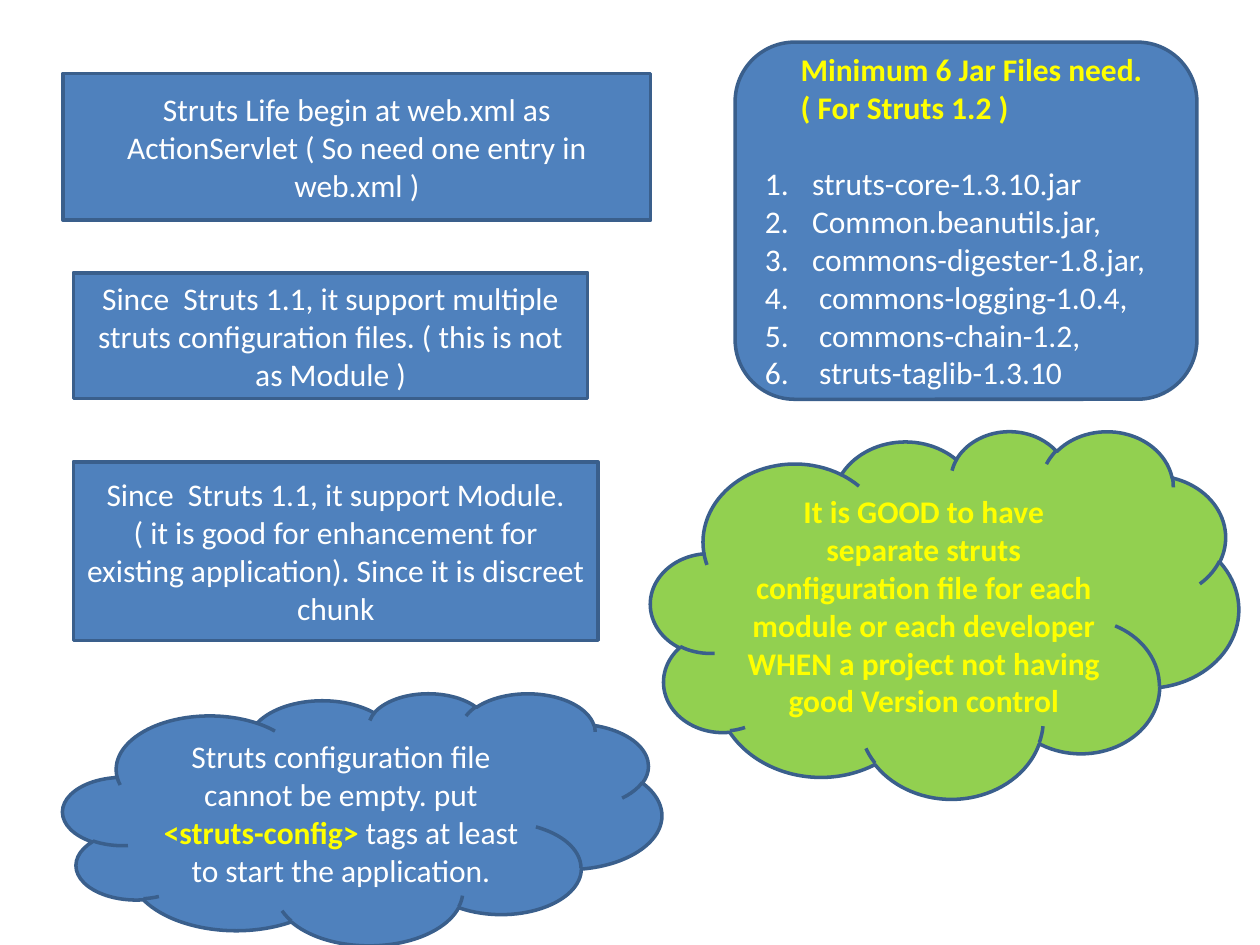
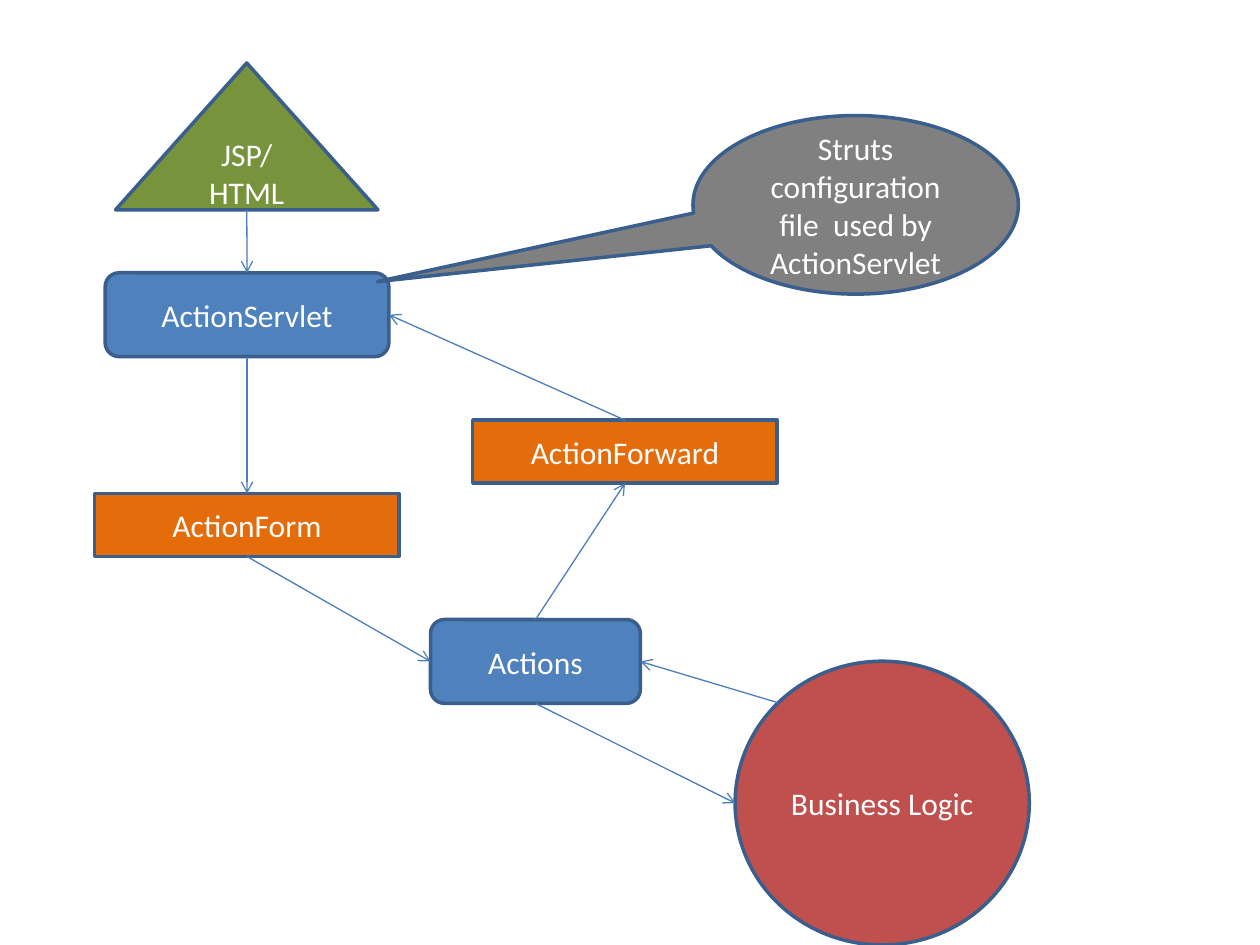
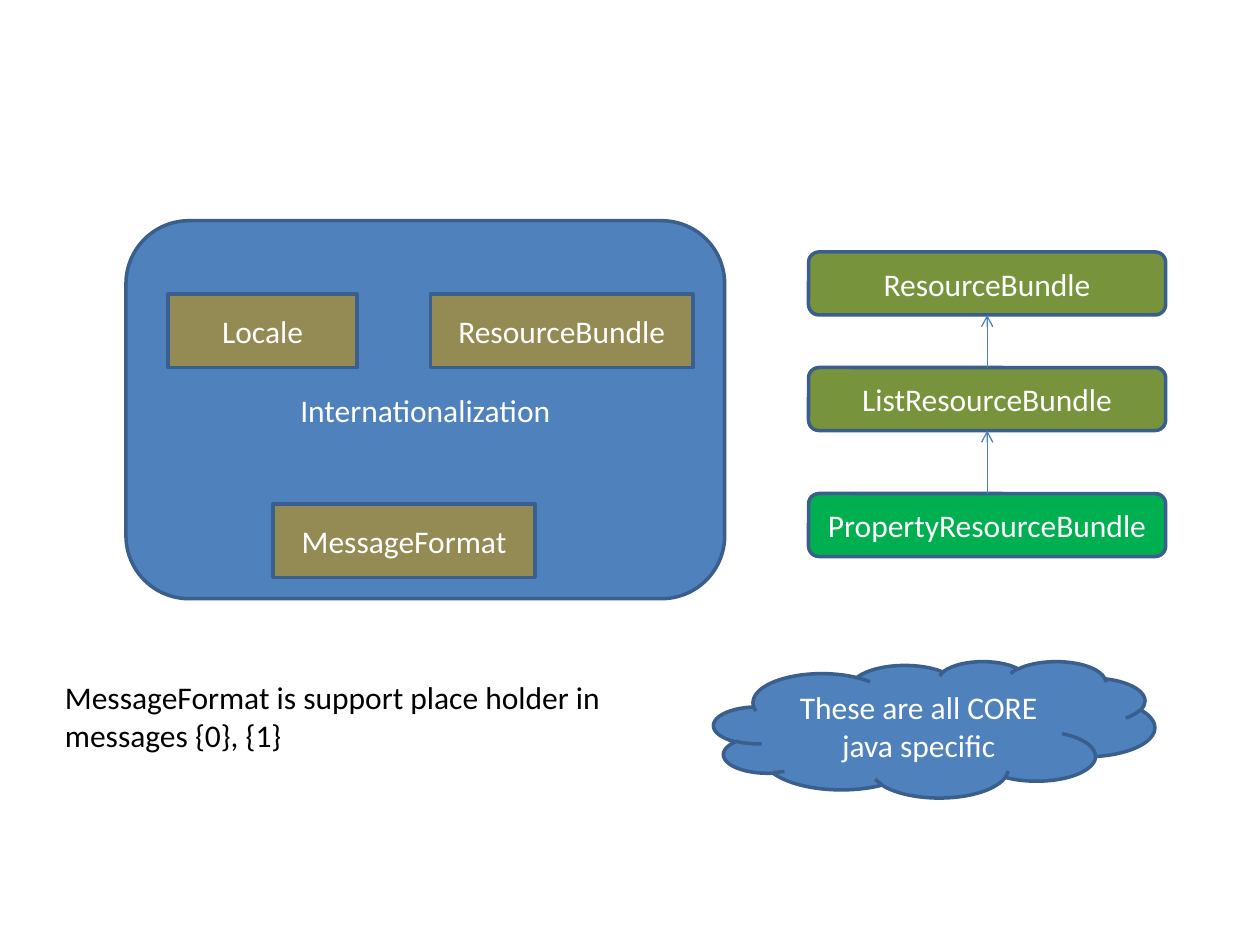
"""Build three slides on Struts setup, request flow and internationalization."""
from dataclasses import dataclass

from lxml import etree
from pptx import Presentation
from pptx import util as u
from pptx.dml.color import RGBColor
from pptx.enum import shapes, text
from pptx.oxml import ns

KIND = shapes.MSO_SHAPE
ALIGN = text.PP_ALIGN
DIAGONAL = (1 - 0.5 ** 0.5) / 2
SITES = {
    "top": (0.5, 0),
    "bottom": (0.5, 1),
    "left": (0, 0.5),
    "right": (1, 0.5),
    "upper left": (DIAGONAL, DIAGONAL),
}


@dataclass(frozen=True)
class Theme:
    font: str = "Calibri"
    size: float = 18
    outline_width: float = 2
    arrow_width: float = 0.75
    blue: str = "4F81BD"
    outline: str = "3A5F8C"
    arrow: str = "4B7EBC"
    lime: str = "92D050"
    olive: str = "77933C"
    green: str = "00B050"
    orange: str = "E46C0A"
    red: str = "C0504D"
    gray: str = "808080"
    tan: str = "948A54"
    white: str = "FFFFFF"
    yellow: str = "FFFF00"
    black: str = "000000"


THEME = Theme()


def write(para, content, color=THEME.white, bold=False, align=ALIGN.LEFT):
    para.alignment = align
    span = para.add_run()
    span.text = content
    font = span.font
    font.name, font.size, font.bold = THEME.font, u.Pt(THEME.size), bold
    font.color.rgb = RGBColor.from_string(color)


class Painter:
    def __init__(self, deck):
        self.deck = deck
        self.page = None

    def new_page(self):
        self.page = self.deck.slides.add_slide(self.deck.slide_layouts[6])

    def shape(self, kind, left, top, width, height, *spans, fill=THEME.blue):
        box = self.page.shapes.add_shape(
            kind, u.Cm(left), u.Cm(top), u.Cm(width), u.Cm(height))
        box.shadow.inherit = False
        box.fill.solid()
        box.fill.fore_color.rgb = RGBColor.from_string(fill)
        box.line.color.rgb = RGBColor.from_string(THEME.outline)
        box.line.width = u.Pt(THEME.outline_width)
        box.text_frame.word_wrap = True
        box.text_frame.vertical_anchor = text.MSO_ANCHOR.MIDDLE
        for span in spans:
            content, style = (span, {}) if isinstance(span, str) else span
            write(box.text_frame.paragraphs[0], content,
                  align=ALIGN.CENTER, **style)
        return box

    def numbered_list(self, box, headings, items):
        frame = box.text_frame
        for index, content in enumerate(headings + items):
            para = frame.add_paragraph() if index else frame.paragraphs[0]
            props = para._p.get_or_add_pPr()
            if index < len(headings):
                props.set("marL", str(u.Cm(0.72)))
                write(para, content, color=THEME.yellow, bold=True)
                continue
            props.set("marL", str(u.Cm(0.95)))
            props.set("indent", str(-u.Cm(0.95)))
            etree.SubElement(props, ns.qn("a:buFont"), typeface="+mj-lt")
            etree.SubElement(props, ns.qn("a:buAutoNum"), type="arabicPeriod")
            if index == len(headings):
                para.space_before = u.Pt(22)
            write(para, content)

    def arrow(self, source, source_site, target, target_site):
        ends = []
        for box, site in ((source, source_site), (target, target_site)):
            across, down = SITES[site]
            ends += [int(box.left + box.width * across),
                     int(box.top + box.height * down)]
        line = self.page.shapes.add_connector(
            shapes.MSO_CONNECTOR.STRAIGHT, *ends)
        line.line.color.rgb = RGBColor.from_string(THEME.arrow)
        line.line.width = u.Pt(THEME.arrow_width)
        etree.SubElement(line.line._get_or_add_ln(), ns.qn("a:tailEnd"),
                         type="arrow")
        etree.SubElement(line._element.spPr, ns.qn("a:effectLst"))

    def label(self, left, top, width, height, content):
        box = self.page.shapes.add_textbox(
            u.Cm(left), u.Cm(top), u.Cm(width), u.Cm(height))
        box.text_frame.word_wrap = True
        write(box.text_frame.paragraphs[0], content, color=THEME.black)


def setup_page(painter):
    painter.new_page()
    highlight = {"color": THEME.yellow, "bold": True}
    painter.shape(
        KIND.RECTANGLE, 1.27, 1.48, 11.85, 2.96,
        "Struts Life begin at web.xml as ActionServlet "
        "( So need one entry in web.xml )")
    painter.shape(
        KIND.RECTANGLE, 1.48, 5.5, 10.37, 2.54,
        "Since  Struts 1.1, it support multiple struts configuration files. "
        "( this is not as Module )")
    jars = painter.shape(KIND.ROUNDED_RECTANGLE, 14.82, 0.85, 9.31, 7.2)
    painter.numbered_list(
        jars,
        ["Minimum 6 Jar Files need.", "( For Struts 1.2 )"],
        ["struts-core-1.3.10.jar", "Common.beanutils.jar,",
         "commons-digester-1.8.jar,", " commons-logging-1.0.4,",
         " commons-chain-1.2,", " struts-taglib-1.3.10"])
    painter.shape(
        KIND.CLOUD, 13.12, 8.68, 11.85, 7.41,
        ("It is GOOD to have separate struts configuration file for each "
         "module or each developer WHEN a project not having good "
         "Version control", highlight),
        fill=THEME.lime)
    painter.shape(
        KIND.RECTANGLE, 1.48, 9.31, 10.58, 3.6,
        "Since  Struts 1.1, it support Module. ( it is good for enhancement "
        "for existing application). Since it is discreet chunk")
    painter.shape(
        KIND.CLOUD, 1.27, 13.97, 12.07, 5.08,
        "Struts configuration file cannot be empty. put ",
        ("<struts-config> ", highlight),
        "tags at least to start the application.")


def flow_page(painter):
    painter.new_page()
    servlet = painter.shape(KIND.ROUNDED_RECTANGLE, 2.12, 5.5, 5.72, 1.69,
                            "ActionServlet")
    actions = painter.shape(KIND.ROUNDED_RECTANGLE, 8.68, 12.49, 4.23, 1.69,
                            "Actions")
    logic = painter.shape(KIND.OVAL, 14.82, 13.33, 5.93, 5.72,
                          "Business Logic", fill=THEME.red)
    view = painter.shape(KIND.ISOSCELES_TRIANGLE, 2.33, 1.27, 5.29, 2.96,
                         "JSP/ HTML", fill=THEME.olive)
    forward = painter.shape(KIND.RECTANGLE, 9.53, 8.47, 6.14, 1.27,
                            "ActionForward", fill=THEME.orange)
    form = painter.shape(KIND.RECTANGLE, 1.91, 9.95, 6.14, 1.27,
                         "ActionForm", fill=THEME.orange)
    for link in (
        (view, "bottom", servlet, "top"),
        (servlet, "bottom", form, "top"),
        (form, "bottom", actions, "left"),
        (actions, "bottom", logic, "left"),
        (logic, "upper left", actions, "right"),
        (actions, "top", forward, "bottom"),
        (forward, "top", servlet, "right"),
    ):
        painter.arrow(*link)
    callout = painter.shape(
        KIND.OVAL_CALLOUT, 13.97, 2.33, 6.56, 3.6,
        "Struts configuration file  used by ActionServlet", fill=THEME.gray)
    callout.adjustments[0] = -1.47
    callout.adjustments[1] = 0.43


def language_page(painter):
    painter.new_page()
    painter.shape(KIND.ROUNDED_RECTANGLE, 2.54, 4.45, 12.07, 7.62,
                  "Internationalization")
    for left, top, width, name in (
        (3.39, 5.93, 3.81, "Locale"),
        (8.68, 5.93, 5.29, "ResourceBundle"),
        (5.5, 10.16, 5.29, "MessageFormat"),
    ):
        painter.shape(KIND.RECTANGLE, left, top, width, 1.48, name,
                      fill=THEME.tan)
    parent = None
    for top, name, fill in (
        (5.08, "ResourceBundle", THEME.olive),
        (7.41, "ListResourceBundle", THEME.olive),
        (9.95, "PropertyResourceBundle", THEME.green),
    ):
        bundle = painter.shape(KIND.ROUNDED_RECTANGLE, 16.3, top, 7.2, 1.27,
                               name, fill=fill)
        if parent:
            painter.arrow(bundle, "top", parent, "bottom")
        parent = bundle
    painter.label(1.06, 13.55, 13.55, 1.8,
                  "MessageFormat is support place holder in messages {0}, {1}")
    painter.shape(KIND.CLOUD, 14.39, 13.33, 8.89, 2.75,
                  "These are all CORE java specific")


def main():
    deck = Presentation()
    deck.slide_width, deck.slide_height = u.Cm(25.4), u.Cm(19.05)
    painter = Painter(deck)
    setup_page(painter)
    flow_page(painter)
    language_page(painter)
    deck.save("out.pptx")


if __name__ == "__main__":
    main()
